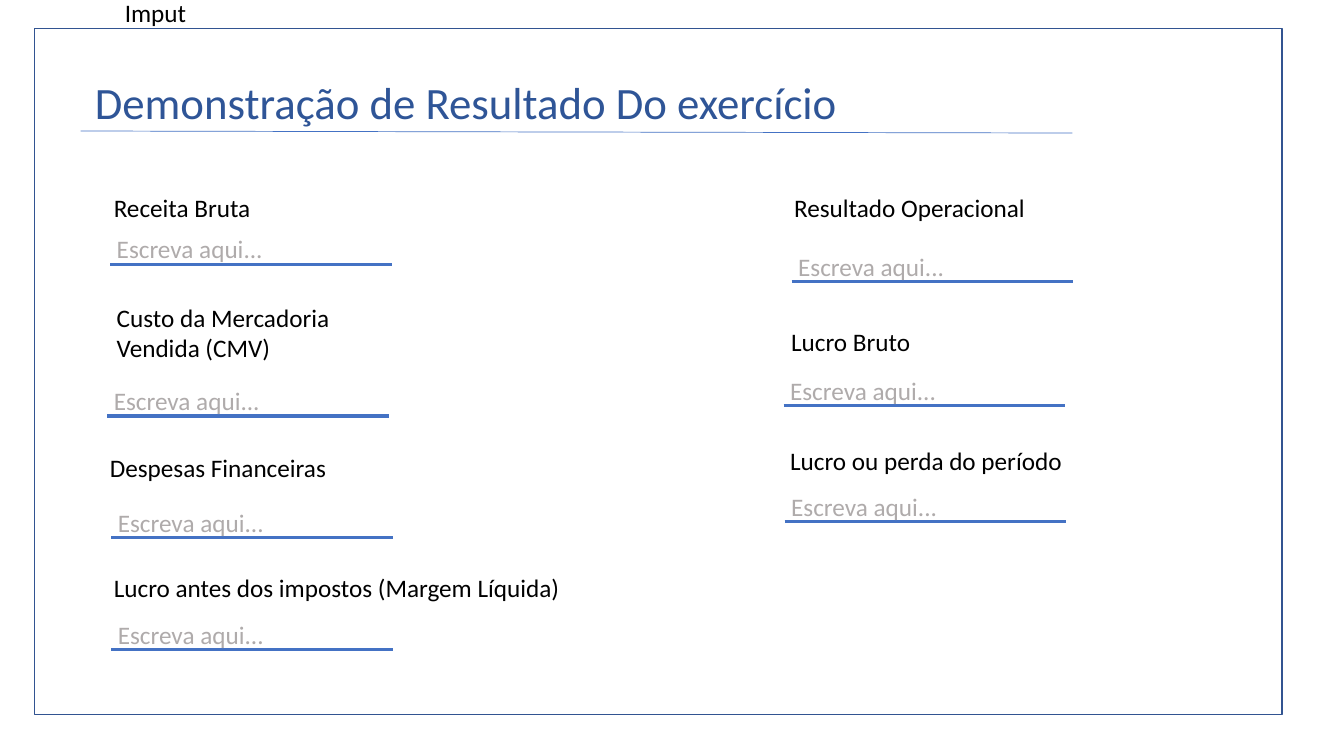
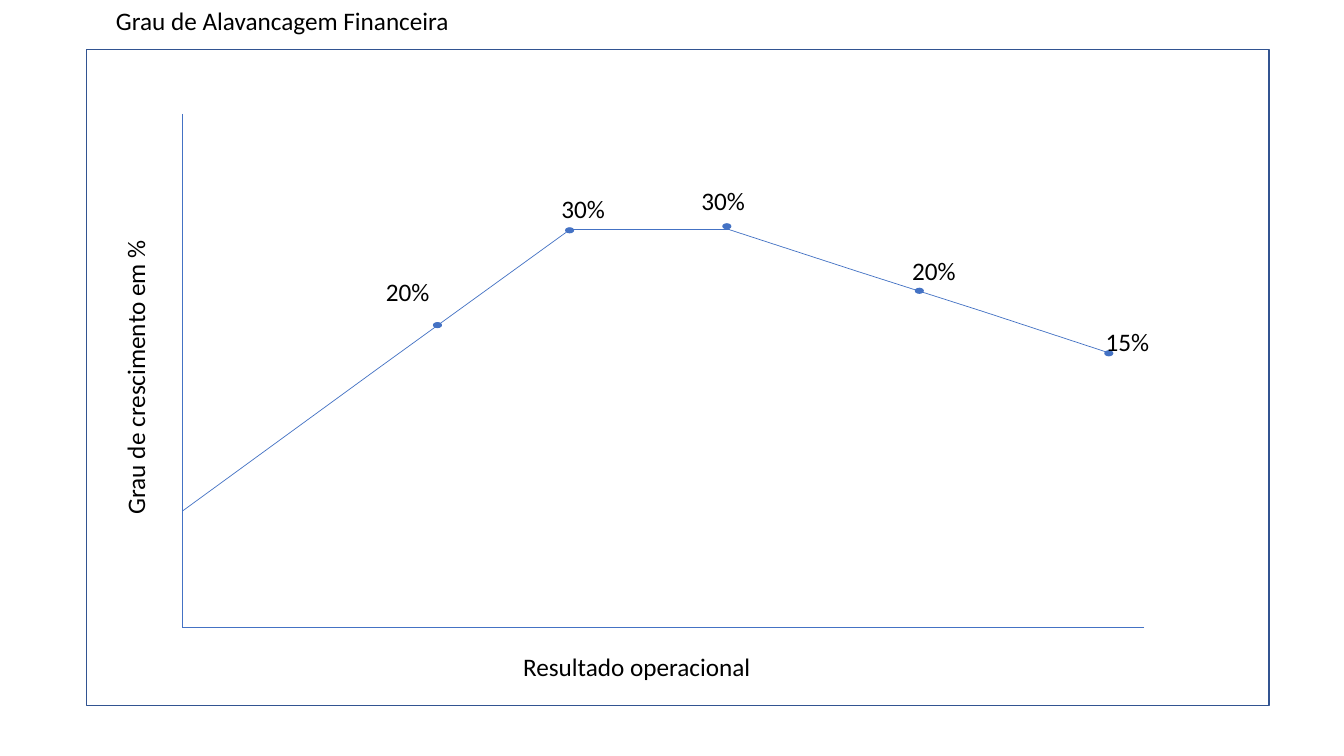
"""Build an income statement form and a financial leverage curve."""
from dataclasses import dataclass
from itertools import pairwise

from lxml import etree
from pptx import Presentation
from pptx.dml.color import RGBColor
from pptx.enum.shapes import MSO_CONNECTOR, MSO_SHAPE
from pptx.enum.text import MSO_ANCHOR, MSO_AUTO_SIZE, PP_ALIGN
from pptx.oxml.ns import qn
from pptx.util import Inches, Pt

STRAIGHT = MSO_CONNECTOR.STRAIGHT
RECTANGLE, OVAL = MSO_SHAPE.RECTANGLE, MSO_SHAPE.OVAL
TOP, LEFT, FIXED = MSO_ANCHOR.TOP, PP_ALIGN.LEFT, MSO_AUTO_SIZE.NONE


@dataclass(frozen=True)
class Theme:
    font: str = "Calibri"
    text: RGBColor = RGBColor(0, 0, 0)
    hint: RGBColor = RGBColor(0xAF, 0xAB, 0xAB)
    heading: RGBColor = RGBColor(0x2F, 0x55, 0x97)
    frame: RGBColor = RGBColor(0x32, 0x54, 0x91)
    accent: RGBColor = RGBColor(0x44, 0x72, 0xC4)
    heading_size: int = 32
    text_size: int = 18
    frame_width: float = 1
    answer_width: float = 2.25
    thin_width: float = 0.5


theme = Theme()
deck = Presentation()
deck.slide_width, deck.slide_height = Inches(13.33), Inches(7.5)
COLUMN, ROW = deck.slide_width / 100, deck.slide_height / 100
TEXT_ROWS = 5.33


def place(*numbers):
    """Turn percent pairs (across, down) into slide lengths."""
    return [round(n * (ROW if i % 2 else COLUMN)) for i, n in enumerate(numbers)]


def write(box, text, size=theme.text_size, colour=theme.text):
    """Fill a box with one left-aligned paragraph."""
    frame = box.text_frame
    frame.text = text
    frame.word_wrap = True
    frame.auto_size = FIXED
    frame.vertical_anchor = TOP
    frame.paragraphs[0].alignment = LEFT
    font = frame.paragraphs[0].runs[0].font
    font.name, font.size, font.color.rgb = theme.font, Pt(size), colour


form, curve = [deck.slides.add_slide(deck.slide_layouts[5]) for _ in range(2)]

headings = [
    (form, "Demonstração de Resultado Do exercício", (6.3, 9.2, 74.48, 8.53),
     theme.heading_size, theme.heading, (2.55, 3.73, 92.85, 90.8)),
    (curve, "Grau de Alavancagem Financeira", (7.88, 0, 46.5, TEXT_ROWS),
     theme.text_size, theme.text, (6.45, 6.53, 87.98, 86.8)),
]
for slide, heading, area, size, colour, border in headings:
    title = slide.shapes.title
    title.left, title.top, title.width, title.height = place(*area)
    write(title, heading, size, colour)
    outline = slide.shapes.add_shape(RECTANGLE, *place(*border))
    outline.shadow.inherit = False
    outline.fill.background()
    outline.line.color.rgb = theme.frame
    outline.line.width = Pt(theme.frame_width)

fields = [
    ("Receita Bruta", 7.73, 24.8, 13.88, 7.95, 30.27),
    ("Custo da Mercadoria Vendida (CMV)", 7.95, 39.33, 17.78, 7.73, 50.27),
    ("Despesas Financeiras", 7.43, 59.2, 20.93, 8.03, 66.4),
    ("Lucro antes dos impostos (Margem Líquida)", 7.73, 75.07, 35.03, 8.03, 81.2),
    ("Resultado Operacional", 58.35, 24.8, 27.6, 58.65, 32.53),
    ("Lucro Bruto", 58.13, 42.53, 10.88, 58.05, 48.93),
    ("Lucro ou perda do período", 58.05, 58.27, 22.65, 58.13, 64.27),
]
texts = [(form, "Imput", 8.55, -1.07, 7.58, 0, theme.text)]
lines = [(form, (6, 17.33, 79.8, 17.6), theme.thin_width)]
for label, x, y, width, answer_x, answer_y in fields:
    texts.append((form, label, x, y, width, 0, theme.text))
    texts.append((form, "Escreva aqui...", answer_x, answer_y, 18.83, 0, theme.hint))
    start, level = answer_x + 0.25, answer_y + 4.75
    lines.append((form, (start, level, start + 20.96, level), theme.answer_width))

texts += [
    (curve, "Resultado operacional", 38.18, 85.47, 29.1, 0, theme.text),
    (curve, "Grau de crescimento em %", -1.43, 46.27, 22.95, 270, theme.text),
]
axis_x, axis_y = 13.58, 82.93
bends = [(axis_x, 67.6), (27.98, 48.93), (42.38, 30.4), (54.3, 30.4),
         (63.75, 35.87), (73.13, 41.2), (82.5, 46.67)]
segments = [(axis_x, 15.07, axis_x, axis_y), (85.13, axis_y, axis_x, axis_y)]
segments += [start + end for start, end in pairwise(bends)]
lines += [(curve, segment, theme.thin_width) for segment in segments]

growth = [
    ("20%", 27.98, 35.87, 32.25, 42.67),
    ("30%", 41.03, 24.93, 42.08, 30.13),
    ("30%", 51.45, 23.87, 53.78, 29.6),
    ("20%", 67.13, 33.07, 68.1, 38.13),
    ("15%", 81.53, 42.53, 82.2, 46.4),
]
for rate, x, y, dot_x, dot_y in growth:
    texts.append((curve, rate, x, y, 4.88, 0, theme.text))
    dot = curve.shapes.add_shape(OVAL, *place(dot_x, dot_y, 0.6, 0.67))
    dot.shadow.inherit = False
    dot.fill.solid()
    dot.fill.fore_color.rgb = theme.accent
    dot.line.color.rgb = theme.accent

for slide, ends, width in lines:
    stroke = slide.shapes.add_connector(STRAIGHT, *place(*ends))
    stroke.line.color.rgb = theme.accent
    stroke.line.width = Pt(width)
    etree.SubElement(stroke._element.spPr, qn("a:effectLst"))

for slide, text, x, y, width, rotation, colour in texts:
    box = slide.shapes.add_textbox(*place(x, y, width, TEXT_ROWS))
    box.rotation = rotation
    write(box, text, colour=colour)

deck.save("out.pptx")
